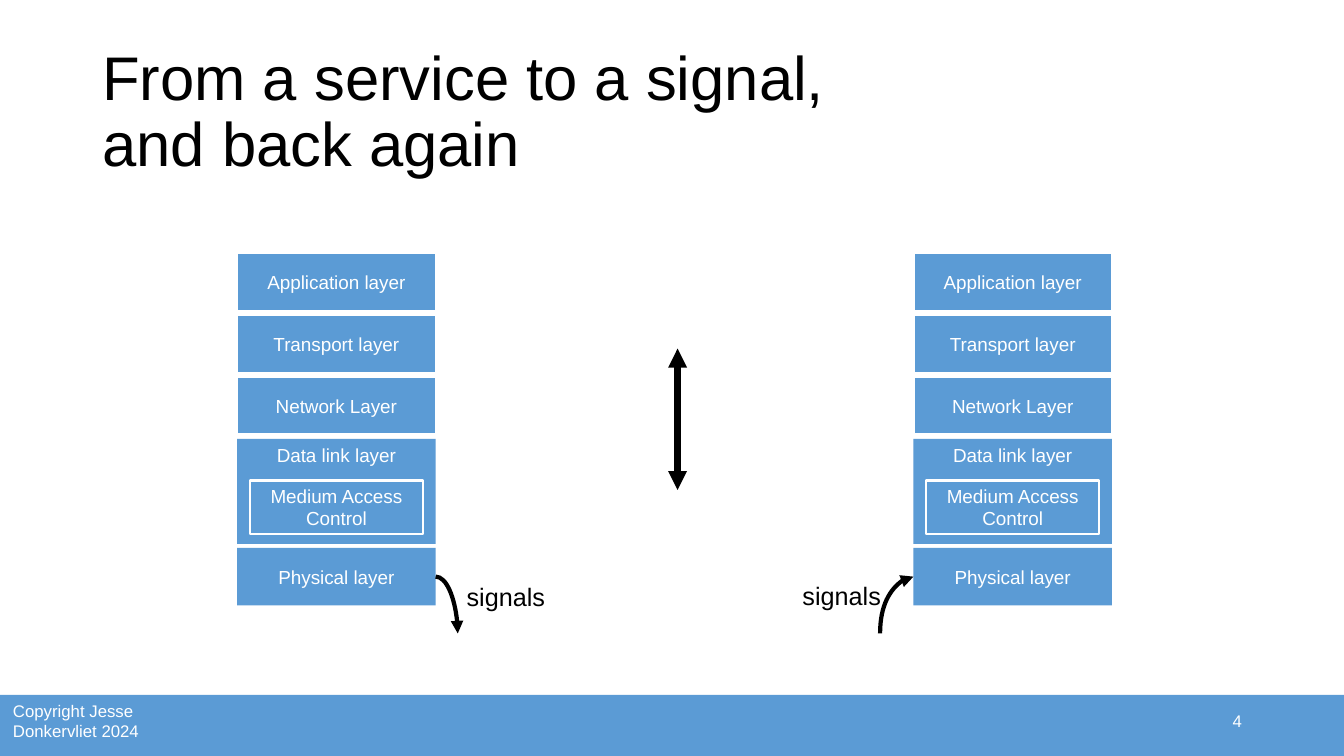
from dataclasses import dataclass

from lxml import etree
from pptx import Presentation
from pptx import util as u
from pptx.dml.color import RGBColor
from pptx.enum import shapes, text
from pptx.oxml.ns import qn


@dataclass(frozen=True)
class Theme:
    font: str = "Arial"
    blue: RGBColor = RGBColor(0x5B, 0x9B, 0xD5)
    white: RGBColor = RGBColor(0xFF, 0xFF, 0xFF)
    black: RGBColor = RGBColor(0x00, 0x00, 0x00)
    title: float = 44
    signal: float = 18
    layer: float = 13.5
    footer: float = 12
    outline: float = 1.5


THEME = Theme()
WIDTH, HEIGHT = 960, 540
LEFT, CENTER, RIGHT = text.PP_ALIGN.LEFT, text.PP_ALIGN.CENTER, text.PP_ALIGN.RIGHT
TOP, MIDDLE = text.MSO_ANCHOR.TOP, text.MSO_ANCHOR.MIDDLE


def points(*lengths):
    return [u.Pt(length) for length in lengths]


def write(box, lines, size, color, align=LEFT, anchor=MIDDLE, spacing=None):
    """Fill a box with one paragraph, with a line break between lines."""
    frame = box.text_frame
    frame.word_wrap = True
    frame.vertical_anchor = anchor
    para = frame.paragraphs[0]
    para.alignment = align
    if spacing:
        para.line_spacing = spacing
    for index, line in enumerate(lines):
        if index:
            para.add_line_break()
        span = para.add_run()
        span.text = line
        span.font.name = THEME.font
        span.font.size = u.Pt(size)
        span.font.color.rgb = color


def add_label(parent, area, *args, **kwargs):
    box = parent.add_textbox(*points(*area))
    write(box, *args, **kwargs)


def add_block(parent, area, outlined=False):
    block = parent.add_shape(shapes.MSO_SHAPE.RECTANGLE, *points(*area))
    block.shadow.inherit = False
    block.fill.solid()
    block.fill.fore_color.rgb = THEME.blue
    if outlined:
        block.line.color.rgb = THEME.white
        block.line.width = u.Pt(THEME.outline)
    else:
        block.line.fill.background()
    return block


def add_arrow(parent, start, end, weight, ends, curved=False):
    """Draw an arrow; ends lists headEnd (at start) and tailEnd (at end)."""
    kind = shapes.MSO_CONNECTOR.CURVE if curved else shapes.MSO_CONNECTOR.STRAIGHT
    arrow = parent.add_connector(kind, *points(*start, *end))
    arrow.line.color.rgb = THEME.black
    arrow.line.width = u.Pt(weight)
    properties = arrow._element.spPr
    if curved:
        # A quarter bend: leaves sideways, arrives vertically
        properties.find(qn("a:prstGeom")).set("prst", "curvedConnector2")
    line = properties.find(qn("a:ln"))
    for name in ends:
        etree.SubElement(line, qn(f"a:{name}"), type="triangle")
    etree.SubElement(properties, qn("a:effectLst"))


def add_title(slide, area):
    add_label(slide.shapes, area, ["From a service to a signal,", "and back again"],
              THEME.title, THEME.black, spacing=0.9)


def add_footer(slide, area):
    left, top, width, height = area
    add_block(slide.shapes, area)
    add_label(slide.shapes, (left + 2.2, top + 1.8, 105.8, 33.8),
              ["Copyright Jesse Donkervliet 2024"], THEME.footer, THEME.white)
    add_label(slide.shapes, (left + width - 281.8, top + 4, 216, 28.8),
              ["4"], THEME.footer, THEME.white, align=RIGHT)


def add_stack(slide, area, sending):
    """Draw one host's protocol stack and the signals at its foot."""
    left, top, width, height = area
    row, pitch = 41, 44.2
    parent = slide.shapes.add_group_shape().shapes
    link_top = top + 3 * pitch
    foot_top = top + height - row

    # Layers as name, box, outline and anchor
    layers = [(name, (left, top + index * pitch, width, row), True, MIDDLE)
              for index, name in enumerate(
                  ["Application layer", "Transport layer", "Network Layer"])]
    layers += [
        ("Data link layer", (left, link_top, width, 75), False, TOP),
        ("Medium Access Control", (left + 9, link_top + 29.6, width - 18, 38), True, MIDDLE),
        ("Physical layer", (left, foot_top, width, row), False, MIDDLE),
    ]
    for name, place, outlined, anchor in layers:
        block = add_block(parent, place, outlined)
        write(block, [name], THEME.layer, THEME.white, CENTER, anchor)

    # Signals leave from the right side or enter at the left side
    port_x, port_y = (left + width if sending else left), foot_top + row / 2
    reach = 15.8 if sending else -23.8
    add_arrow(parent, (port_x, port_y), (port_x + reach, port_y + 40.6), 3,
              ["tailEnd" if sending else "headEnd"], curved=True)
    label_left = port_x + 15 if sending else port_x - 86.4
    label_top = port_y - (0.2 if sending else 1.2)
    add_label(parent, (label_left, label_top, 73, 28.8), ["signals"],
              THEME.signal, THEME.black, anchor=TOP)


def add_exchange(slide, area):
    left, top, width, height = area
    middle = left + width / 2
    add_arrow(slide.shapes, (middle, top), (middle, top + height), 4.5,
              ["headEnd", "tailEnd"])


def build_layers_slide(deck):
    slide = deck.slides.add_slide(deck.slide_layouts[6])
    add_footer(slide, (0, 496.4, WIDTH, HEIGHT - 496.4))
    add_title(slide, (66, 28.75, 828, 104.4))
    add_stack(slide, (169.4, 181, 141.8, 251.4), sending=True)
    add_exchange(slide, (474, 249, 20, 101))
    add_stack(slide, (652.5, 181, 141.8, 251.4), sending=False)


def main():
    deck = Presentation()
    deck.slide_width, deck.slide_height = points(WIDTH, HEIGHT)
    build_layers_slide(deck)
    deck.save("out.pptx")


if __name__ == "__main__":
    main()
